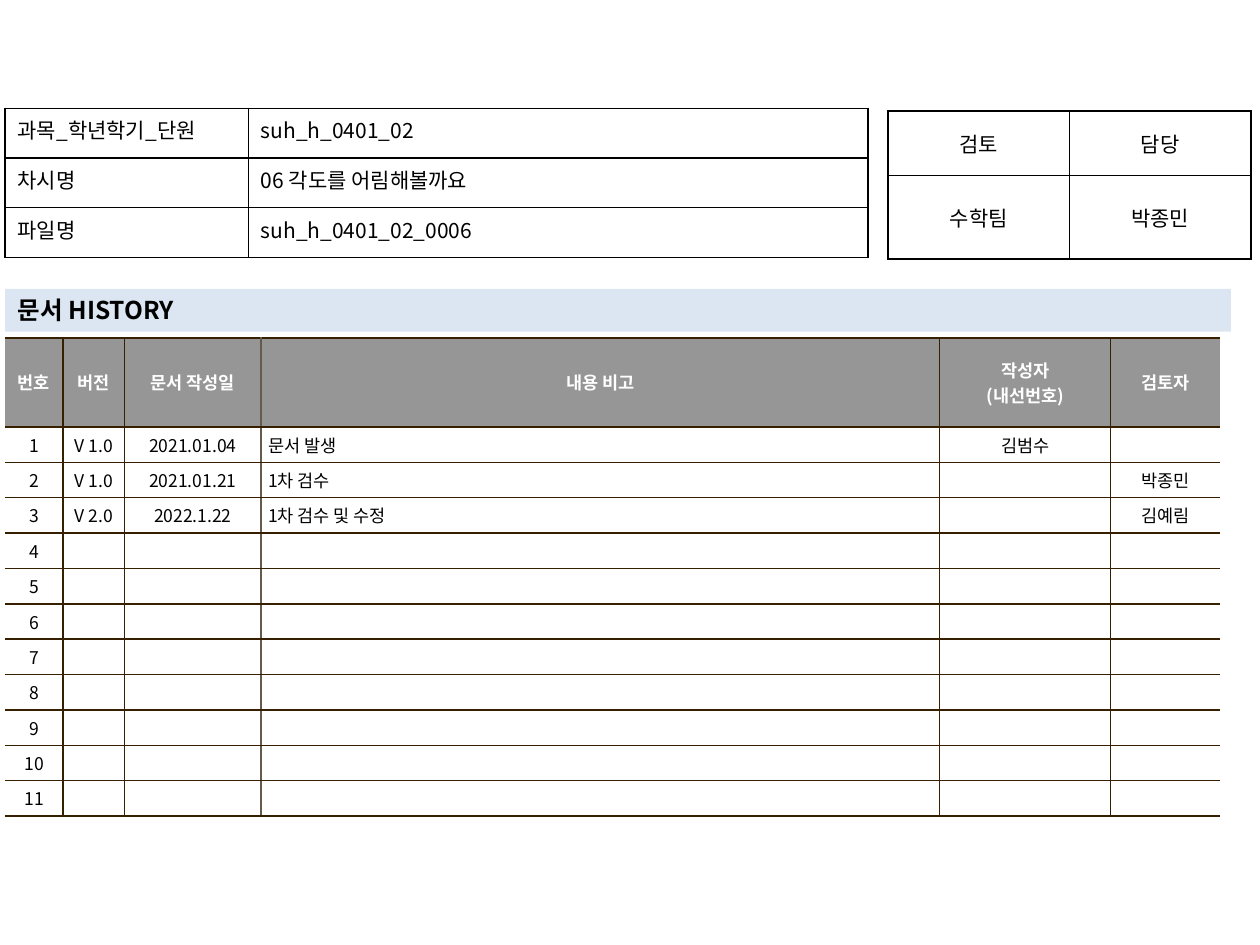
"""Build the document history slide with its file, review and revision tables."""
from dataclasses import dataclass

from lxml.etree import SubElement
from pptx import Presentation
from pptx.dml.color import RGBColor
from pptx.enum.text import MSO_ANCHOR, MSO_AUTO_SIZE, PP_ALIGN
from pptx.oxml.ns import qn
from pptx.util import Pt

TITLE = "문서 HISTORY"
FILE_ROWS = [
    ("과목_학년학기_단원", "suh_h_0401_02"),
    ("차시명", "06 각도를 어림해볼까요"),
    ("파일명", "suh_h_0401_02_0006"),
]
REVIEW_ROWS = [("검토", "담당"), ("수학팀", "박종민")]
HISTORY_HEADER = ("번호", "버전", "문서 작성일", "내용 비고", "작성자\n(내선번호)", "검토자")
REVISIONS = [
    ("V 1.0", "2021.01.04", "문서 발생", "김범수", ""),
    ("V 1.0", "2021.01.21", "1차 검수", "", "박종민"),
    ("V 2.0", "2022.1.22", "1차 검수 및 수정", "", "김예림"),
]
HISTORY_LENGTH = 11
NOTE_COLUMN = 3


@dataclass(frozen=True)
class Theme:
    """Colours and type sizes of the slide."""
    font: str = "Noto Sans CJK KR"
    black: str = "000000"
    white: str = "FFFFFF"
    header: str = "969696"
    band: str = "DCE6F2"
    rule: str = "362000"
    note_rule: str = "645B4C"
    title_size: int = 14
    info_size: int = 12
    history_size: int = 10


THEME = Theme()


def write_text(frame, text, size, color=THEME.black, bold=False, align=PP_ALIGN.LEFT):
    """Write lines of text, one paragraph each, in one format."""
    for index, line in enumerate(text.split("\n")):
        paragraph = frame.add_paragraph() if index else frame.paragraphs[0]
        paragraph.alignment = align
        if not line:
            SubElement(paragraph._p, qn("a:endParaRPr"), sz=str(size * 100))
            continue
        run = paragraph.add_run()
        run.text = line
        font = run.font
        font.size, font.bold, font.name = Pt(size), bold, THEME.font
        font.color.rgb = RGBColor.from_string(color)
        SubElement(font._element, qn("a:ea"), typeface=THEME.font)


def set_borders(cell, colors):
    """Draw the left, right, top and bottom borders; None leaves a side open."""
    properties = cell._tc.get_or_add_tcPr()
    for side, color in zip("LRTB", colors):
        line = SubElement(properties, qn(f"a:ln{side}"), w=str(Pt(1)))
        if color:
            fill = SubElement(line, qn("a:solidFill"))
            SubElement(fill, qn("a:srgbClr"), val=color)
        else:
            SubElement(line, qn("a:noFill"))


def add_grid(slide, rows, left, top, widths, heights, margins, anchor, style):
    """Add a table; style gives each cell its text format, fill and borders."""
    shape = slide.shapes.add_table(
        len(rows), len(widths), Pt(left), Pt(top), Pt(sum(widths)), Pt(sum(heights)))
    table = shape.table
    table.first_row = table.horz_banding = False
    for column, width in zip(table.columns, widths):
        column.width = Pt(width)
    for row, height in zip(table.rows, heights):
        row.height = Pt(height)
    side, end = margins
    for row_index, values in enumerate(rows):
        for column_index, text in enumerate(values):
            cell = table.cell(row_index, column_index)
            text_format, fill, borders = style(row_index, column_index)
            cell.margin_left = cell.margin_right = Pt(side)
            cell.margin_top = cell.margin_bottom = Pt(end)
            cell.vertical_anchor = anchor
            set_borders(cell, borders)
            if fill:
                cell.fill.solid()
                cell.fill.fore_color.rgb = RGBColor.from_string(fill)
            else:
                cell.fill.background()
            write_text(cell.text_frame, text, **text_format)


def file_style(row, column):
    """Style the file table: justified labels, left-aligned values."""
    align = PP_ALIGN.LEFT if column else PP_ALIGN.JUSTIFY
    return {"size": THEME.info_size, "align": align}, None, [THEME.black] * 4


def review_style(row, column):
    """Style the review table: centred text in a black grid."""
    return {"size": THEME.info_size, "align": PP_ALIGN.CENTER}, None, [THEME.black] * 4


def history_style(row, column):
    """Style the history table: grey header, open sides, left-aligned notes."""
    is_header = row == 0
    text_format = {
        "size": THEME.history_size,
        "color": THEME.white if is_header else THEME.black,
        "bold": is_header,
        "align": PP_ALIGN.LEFT if column == NOTE_COLUMN and not is_header else PP_ALIGN.CENTER,
    }
    verticals = [THEME.rule] * (len(HISTORY_HEADER) + 1)
    verticals[0] = verticals[-1] = None
    verticals[NOTE_COLUMN] = THEME.note_rule
    borders = verticals[column:column + 2] + [THEME.rule] * 2
    return text_format, THEME.header if is_header else THEME.white, borders


def add_title(slide):
    """Turn the title placeholder into the heading band."""
    title = slide.shapes.title
    title.left, title.top, title.width, title.height = Pt(2.9), Pt(165), Pt(700.5), Pt(24.5)
    title.fill.solid()
    title.fill.fore_color.rgb = RGBColor.from_string(THEME.band)
    frame = title.text_frame
    frame.word_wrap = True
    frame.auto_size = MSO_AUTO_SIZE.NONE
    frame.vertical_anchor = MSO_ANCHOR.MIDDLE
    write_text(frame, TITLE, THEME.title_size, bold=True)


def main():
    """Build and save the slide."""
    presentation = Presentation()
    presentation.slide_width, presentation.slide_height = Pt(720), Pt(540)
    slide = presentation.slides.add_slide(presentation.slide_layouts[5])
    add_title(slide)

    blank = ("",) * (len(HISTORY_HEADER) - 1)
    revisions = REVISIONS + [blank] * (HISTORY_LENGTH - len(REVISIONS))
    history = [HISTORY_HEADER] + [
        (str(number), *values) for number, values in enumerate(revisions, 1)]
    add_grid(slide, history, 2.9, 193, (33.1, 35.3, 77.8, 387.8, 97.9, 62.3),
             [51] + [17.8] * HISTORY_LENGTH, (4.3, 2.9), MSO_ANCHOR.MIDDLE, history_style)
    add_grid(slide, REVIEW_ROWS, 507.5, 63.3, (103.7, 103.7), (37, 47.8),
             (7.2, 3.6), MSO_ANCHOR.MIDDLE, review_style)
    add_grid(slide, FILE_ROWS, 2.9, 61.9, (139, 354.2), [28.4] * len(FILE_ROWS),
             (7.2, 3.6), MSO_ANCHOR.TOP, file_style)
    presentation.save("out.pptx")


if __name__ == "__main__":
    main()
